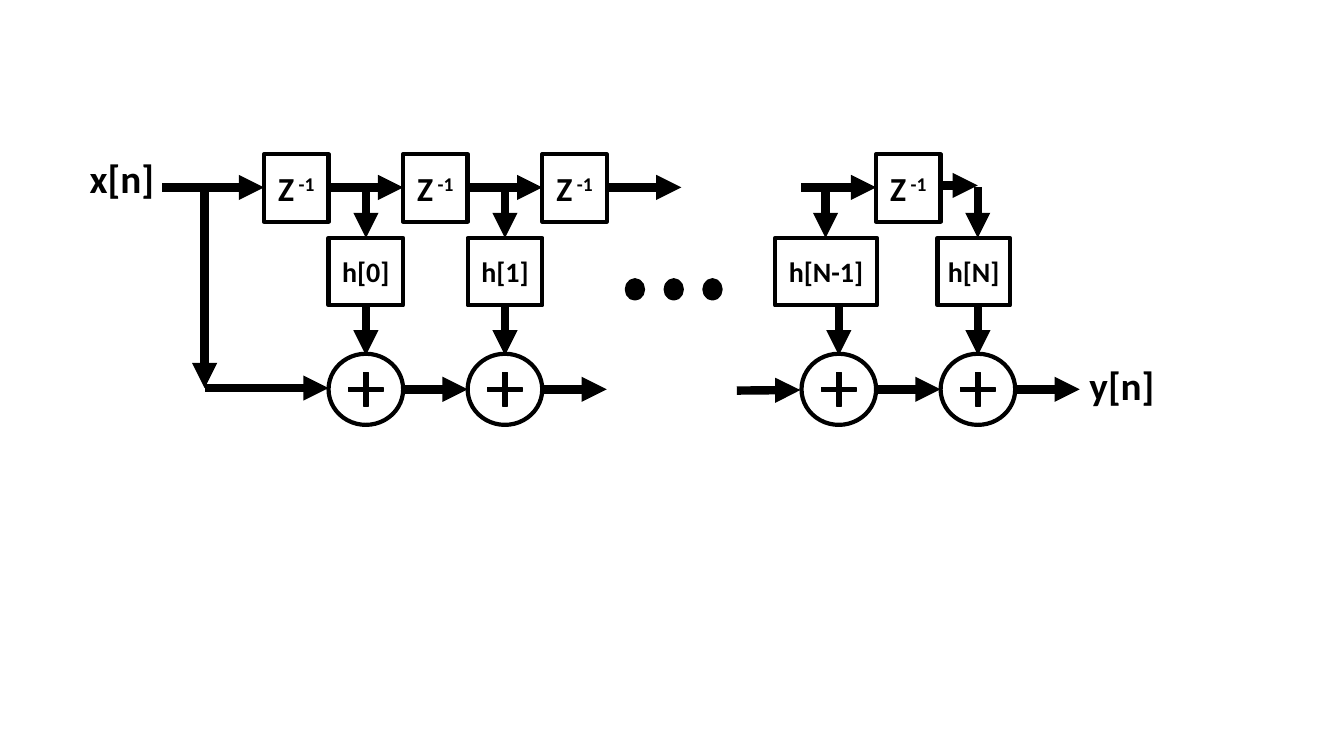
"""Build a slide with the block diagram of an FIR filter."""
from lxml.etree import SubElement
from pptx import Presentation
from pptx.dml.color import RGBColor
from pptx.enum.shapes import MSO_CONNECTOR, MSO_SHAPE as Shape
from pptx.enum.text import MSO_ANCHOR, MSO_AUTO_SIZE, PP_ALIGN
from pptx.oxml.ns import qn
from pptx.util import Pt

BLACK = RGBColor(0, 0, 0)
STEP = 99.36
FIRST_DELAY = 188.64
FIRST_TAP = 261.36
DELAY_WIDTH, BOX_HEIGHT = 46, 48.2
ADDER_WIDTH, ADDER_HEIGHT = 53.3, 50.8
PLUS_WIDTH, PLUS_HEIGHT = 24.5, 23.8
INPUT_Y, TAP_TOP, SUM_Y = 133.9, 170, 278.1

presentation = Presentation()
presentation.slide_width = Pt(960)
presentation.slide_height = Pt(540)
slide = presentation.slides.add_slide(presentation.slide_layouts[6])


def add_block(kind, left, top, width, height, runs=(), size=20, filled=False, weight=3):
    shape = slide.shapes.add_shape(kind, Pt(left), Pt(top), Pt(width), Pt(height))
    shape.shadow.inherit = False
    if filled:
        shape.fill.solid()
        shape.fill.fore_color.rgb = BLACK
    else:
        shape.fill.background()
    shape.line.color.rgb = BLACK
    shape.line.width = Pt(weight)
    frame = shape.text_frame
    frame.word_wrap = False
    frame.vertical_anchor = MSO_ANCHOR.MIDDLE
    paragraph = frame.paragraphs[0]
    paragraph.alignment = PP_ALIGN.CENTER
    for text, baseline in runs:
        run = paragraph.add_run()
        run.text = text
        run.font.name = "Calibri"
        run.font.size = Pt(size)
        run.font.bold = True
        run.font.color.rgb = BLACK
        if baseline:
            run.font._element.set("baseline", str(baseline))
    return shape


def add_arrow(x1, y1, x2, y2):
    arrow = slide.shapes.add_connector(MSO_CONNECTOR.STRAIGHT, Pt(x1), Pt(y1), Pt(x2), Pt(y2))
    arrow.line.color.rgb = BLACK
    arrow.line.width = Pt(6)
    SubElement(arrow.line._get_or_add_ln(), qn("a:tailEnd"), type="triangle")
    SubElement(arrow._element.spPr, qn("a:effectLst"))


for position in (0, 1, 2, 4.4):
    add_block(Shape.RECTANGLE, FIRST_DELAY + position * STEP, 110.2, DELAY_WIDTH, BOX_HEIGHT,
              [("Z", 0), (" -1", 30000)], size=24)

taps = [
    ("h[0]", 0, 234.7, 53.3, 261.4),
    ("h[1]", 1, 334.1, 53.3, 360.7),
    ("h[N-1]", 3.4, 553.7, 72.7, 589.7),
    ("h[N]", 4.4, 669.6, 51.8, 698.4),
]
for label, position, left, width, branch_x in taps:
    center = FIRST_TAP + position * STEP
    add_block(Shape.RECTANGLE, left, TAP_TOP, width, BOX_HEIGHT, [(label, 0)])
    add_block(Shape.OVAL, center - ADDER_WIDTH / 2, SUM_Y - ADDER_HEIGHT / 2,
              ADDER_WIDTH, ADDER_HEIGHT)
    plus = add_block(Shape.CROSS, center - PLUS_WIDTH / 2, SUM_Y - PLUS_HEIGHT / 2,
                     PLUS_WIDTH, PLUS_HEIGHT, filled=True, weight=1)
    plus.adjustments[0] = 0.438
    add_arrow(branch_x, INPUT_Y, branch_x, TAP_TOP)
    add_arrow(center, TAP_TOP + BOX_HEIGHT, center, 253.8)
    add_arrow(center + ADDER_WIDTH / 2, SUM_Y, center + STEP - ADDER_WIDTH / 2, SUM_Y)

for position in (0, 1, 2, 3.4):
    start = FIRST_DELAY + DELAY_WIDTH + position * STEP
    add_arrow(start, INPUT_Y, FIRST_DELAY + (position + 1) * STEP, INPUT_Y)

add_arrow(115.9, INPUT_Y, FIRST_DELAY, INPUT_Y)
add_arrow(146.2, INPUT_Y, 146.2, 277.2)
add_arrow(146.2, 277.2, 234.7, 277.2)
add_arrow(526.3, 279, 571.7, 278.6)
add_arrow(673.2, 132.5, 698.4, 132.5)

for index in range(3):
    add_block(Shape.OVAL, 447.8 + index * 27.7, 200.2, 11.5, 13, filled=True)

for text, left, top in (("x[n]", 56.9, 106.6), ("y[n]", 771.1, 254.2)):
    label_box = slide.shapes.add_textbox(Pt(left), Pt(top), Pt(61.2), Pt(41))
    label_box.text_frame.word_wrap = False
    label_box.text_frame.auto_size = MSO_AUTO_SIZE.SHAPE_TO_FIT_TEXT
    run = label_box.text_frame.paragraphs[0].add_run()
    run.text = text
    run.font.name = "Calibri"
    run.font.size = Pt(28)
    run.font.bold = True
    run.font.color.rgb = BLACK

presentation.save("out.pptx")
